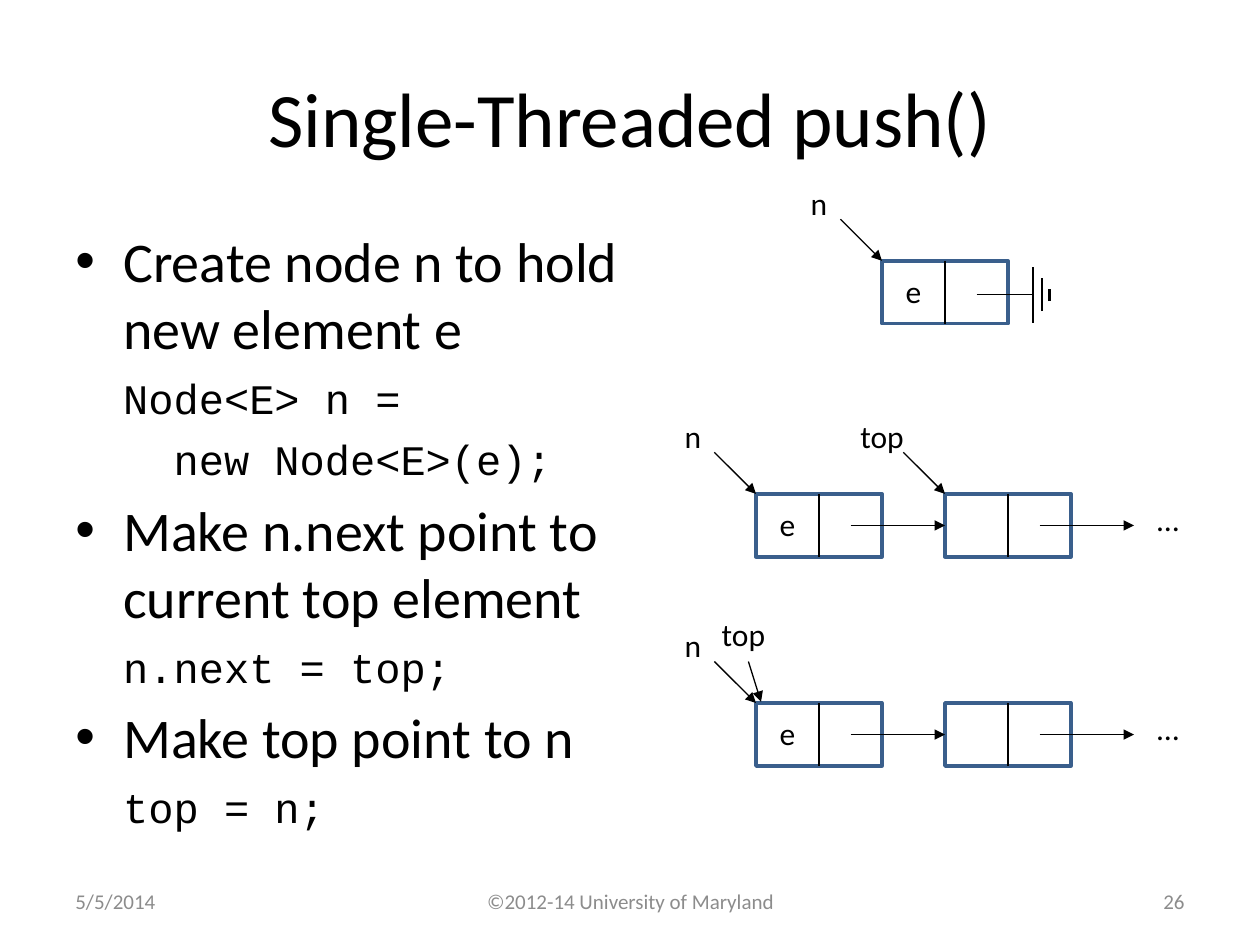
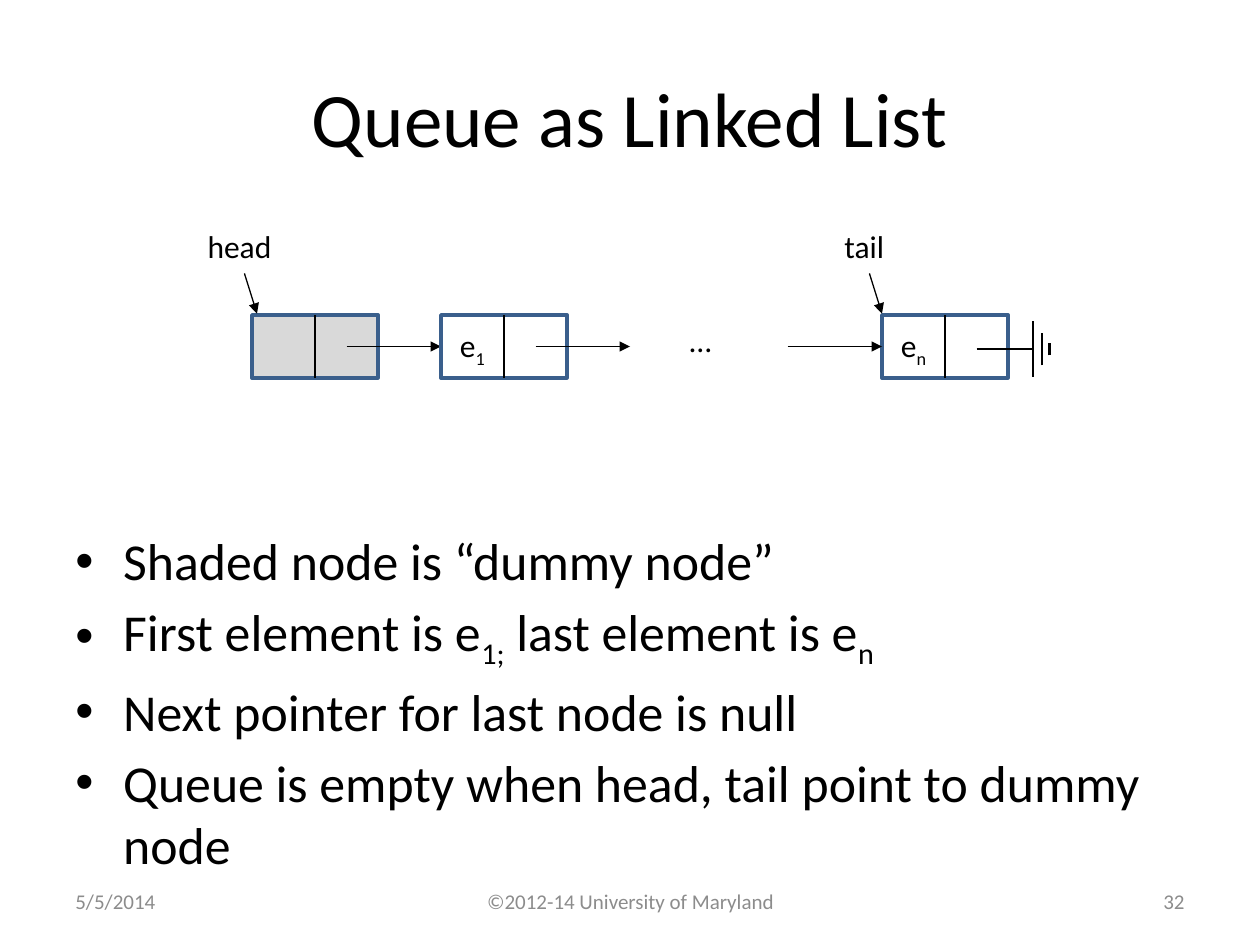
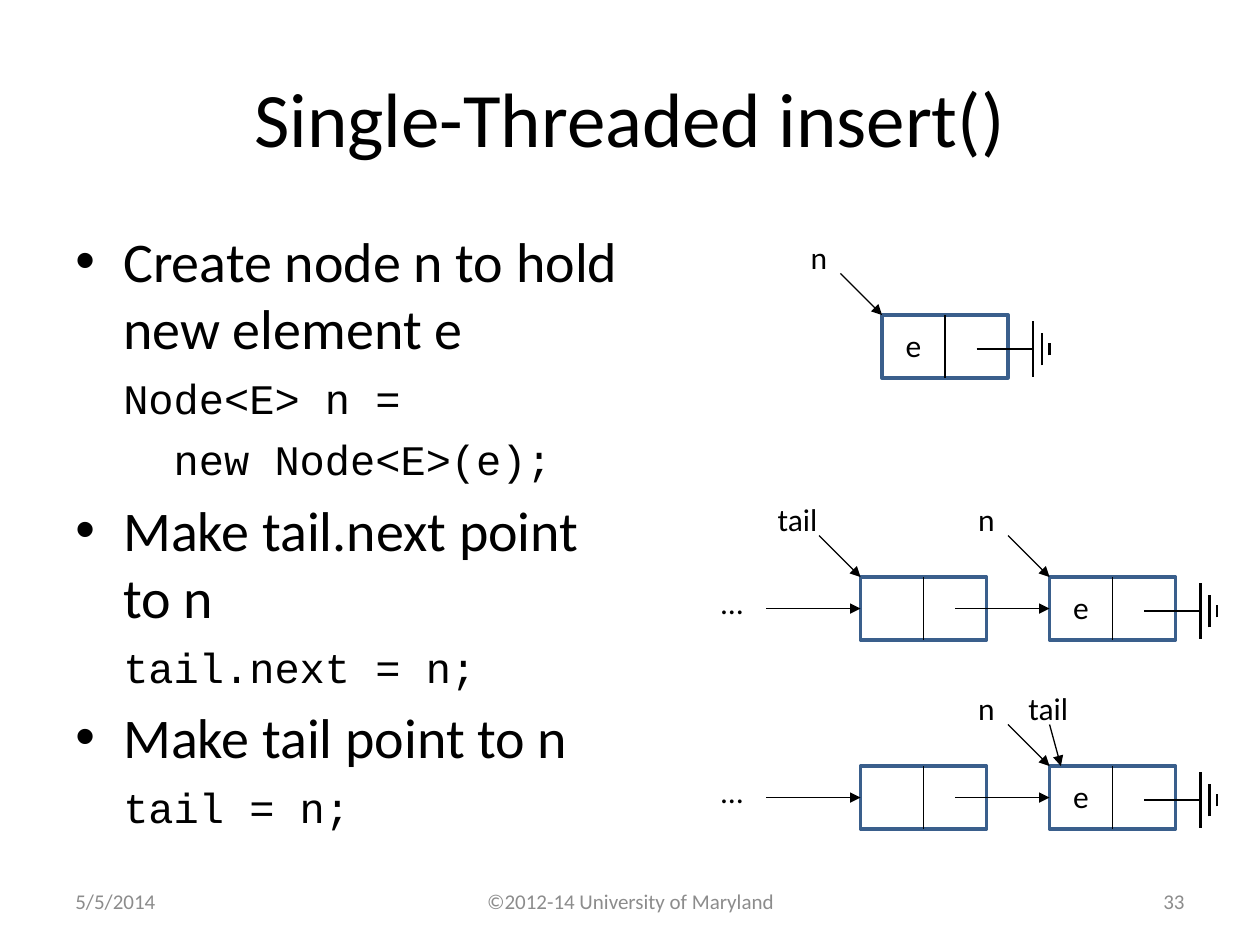
"""Build three slides on linked-list stacks and queues."""
from dataclasses import dataclass

from lxml import etree
from pptx import Presentation
from pptx import util as u
from pptx.dml.color import RGBColor
from pptx.enum import shapes, text
from pptx.oxml.ns import qn


@dataclass(frozen=True)
class Theme:
    ink: str = "000000"
    muted: str = "8C8C8C"
    edge: str = "3A5F8C"
    shade: str = "D9D9D9"
    font: str = "Calibri"
    mono: str = "Courier New"
    title: float = 44
    code: float = 24
    label: float = 18
    footer: float = 12
    thin: float = 0.75
    bar: float = 1.5
    border: float = 2


T = Theme()
AL, ANCHOR = text.PP_ALIGN, text.MSO_ANCHOR
DATE, OWNER = "5/5/2014", "©2012-14 University of Maryland"
NODE_W, NODE_H = 1, 0.5
INDENT, CODE_STEP = 0.38, 0.4
LABEL_H = 0.4
LABEL_W = {"e": 0.33, "n": 0.34, "top": 0.55, "tail": 0.52, "head": 0.72,
           "…": 0.38, "e_1": 0.41, "e_n": 0.42}
# Offsets from a node's corner: label centre and top, arrow start, arrow end
POINTERS = {
    "slant": ((-0.5, -0.66), (-0.33, -0.33), (0, 0)),
    "steep": ((-0.1, -0.75), (-0.06, -0.33), (0.04, -0.01)),
    "corner": ((-0.14, -0.75), (-0.1, -0.33), (0, -0.01)),
    "near": ((-0.01, -0.66), (0, -0.33), (0.09, 0)),
}
GROUND_BARS = [(1.2, 0.22), (1.27, 0.13), (1.33, 0.05)]

# Body items are (kind, text); text between underscores is subscript
# Nodes are (x, y, label, pointers, links)
SLIDES = [
    dict(
        title="Single-Threaded push()", number="26",
        box=(0.5, 1.75, 4.57, 4.95), size=32, gap=6.4,
        body=[("bullet", "Create node n to hold new element e"),
              ("code", "Node<E> n ="),
              ("code2", "new Node<E>(e);"),
              ("bullet", "Make n.next point to current top element"),
              ("code", "n.next = top;"),
              ("bullet", "Make top point to n"),
              ("code", "top = n;")],
        nodes=[(7, 2.07, "e", {"n": "slant"}, "ground"),
               (7.5, 3.92, "", {"top": "slant"}, "next"),
               (6, 3.92, "e", {"n": "slant"}, "next"),
               (7.5, 5.58, "", {}, "next"),
               (6, 5.58, "e", {"n": "slant", "top": "steep"}, "next")],
        dots=[(9.27, 3.92), (9.27, 5.58)]),
    dict(
        title="Queue as Linked List", number="32",
        box=(0.5, 4.15, 9, 2.55), size=29.6, gap=5,
        body=[("bullet", "Shaded node is “dummy node”"),
              ("bullet", "First element is e_1;_ last element is e_n"),
              ("bullet", "Next pointer for last node is null"),
              ("bullet", "Queue is empty when head, tail point to dummy node")],
        nodes=[(2, 2.5, "", {"head": "steep"}, "next shaded"),
               (3.5, 2.5, "e_1", {}, "next"),
               (7, 2.5, "e_n", {"tail": "corner"}, "entry ground")],
        dots=[(5.56, 2.5)]),
    dict(
        title="Single-Threaded insert()", number="33",
        box=(0.5, 1.75, 4.58, 4.95), size=32, gap=6.4,
        body=[("bullet", "Create node n to hold new element e"),
              ("code", "Node<E> n ="),
              ("code2", "new Node<E>(e);"),
              ("bullet", "Make tail.next point to n"),
              ("code", "tail.next = n;"),
              ("bullet", "Make tail point to n"),
              ("code", "tail = n;")],
        nodes=[(7, 2.5, "e", {"n": "slant"}, "ground"),
               (8.33, 4.58, "e", {"n": "slant"}, "ground"),
               (6.83, 4.58, "", {"tail": "slant"}, "entry next"),
               (8.33, 6.08, "e", {"n": "slant", "tail": "near"}, "ground"),
               (6.83, 6.08, "", {}, "entry next")],
        dots=[(5.81, 4.58), (5.81, 6.08)]),
]


def rgb(value):
    return RGBColor.from_string(value)


def add_runs(p, value, size, color=T.ink, font=T.font):
    for i, part in enumerate(value.split("_")):
        if not part:
            continue
        r = p.add_run()
        r.text = part
        r.font.size, r.font.name = u.Pt(size), font
        r.font.color.rgb = rgb(color)
        if i % 2:
            r._r.get_or_add_rPr().set("baseline", "-25000")


def add_box(tree, box):
    sp = tree.add_textbox(*map(u.Inches, box))
    sp.text_frame.word_wrap = True
    return sp.text_frame


def add_line_of_text(tree, box, value, size, align, color=T.ink):
    tf = add_box(tree, box)
    tf.vertical_anchor = ANCHOR.MIDDLE
    p = tf.paragraphs[0]
    p.alignment = align
    add_runs(p, value, size, color)


def add_label(tree, center, top, value):
    w = LABEL_W[value]
    tf = add_box(tree, (center - w / 2, top, w, LABEL_H))
    tf.word_wrap = False
    tf.auto_size = text.MSO_AUTO_SIZE.SHAPE_TO_FIT_TEXT
    p = tf.paragraphs[0]
    p.alignment = AL.CENTER
    add_runs(p, value, T.label)


def add_line(tree, start, end, width=T.thin, arrow=False):
    cx = tree.add_connector(shapes.MSO_CONNECTOR.STRAIGHT,
                            *map(u.Inches, (*start, *end)))
    cx.line.color.rgb, cx.line.width = rgb(T.ink), u.Pt(width)
    if arrow:
        etree.SubElement(cx.line._get_or_add_ln(), qn("a:tailEnd"), type="triangle")
    etree.SubElement(cx._element.spPr, qn("a:effectLst"))


def add_body(tree, box, items, size, gap):
    tf = add_box(tree, box)
    for i, (kind, value) in enumerate(items):
        p = tf.add_paragraph() if i else tf.paragraphs[0]
        p.space_before = u.Pt(gap)
        pPr = p._p.get_or_add_pPr()
        left = INDENT + (CODE_STEP if kind == "code2" else 0)
        pPr.set("marL", str(u.Inches(left)))
        if kind == "bullet":
            pPr.set("indent", str(-u.Inches(INDENT)))
            etree.SubElement(pPr, qn("a:buFont"), typeface="Arial")
            etree.SubElement(pPr, qn("a:buChar"), char="•")
            add_runs(p, value, size)
        else:
            p.level = 1
            add_runs(p, value, T.code, font=T.mono)


def add_ground(tree, x, y):
    g = tree.add_group_shape().shapes
    mid = y + 0.27
    for dx, half in GROUND_BARS:
        add_line(g, (x + dx, mid + half), (x + dx, mid - half), T.bar)
    add_line(g, (x + 0.75, mid), (x + GROUND_BARS[0][0], mid))


def add_node(tree, x, y, label, pointers, links):
    g = tree.add_group_shape().shapes
    sp = g.add_shape(shapes.MSO_SHAPE.RECTANGLE,
                     *map(u.Inches, (x, y, NODE_W, NODE_H)))
    sp.shadow.inherit = False
    sp.line.color.rgb, sp.line.width = rgb(T.edge), u.Pt(T.border)
    if "shaded" in links:
        sp.fill.solid()
        sp.fill.fore_color.rgb = rgb(T.shade)
    else:
        sp.fill.background()
    add_line(g, (x + NODE_W / 2, y), (x + NODE_W / 2, y + NODE_H))
    if label:
        add_label(g, x + NODE_W / 4, y + 0.04, label)

    for name, style in pointers.items():
        (lx, ly), (sx, sy), (ex, ey) = POINTERS[style]
        add_line(tree, (x + sx, y + sy), (x + ex, y + ey), arrow=True)
        add_label(tree, x + lx, y + ly, name)
    mid = y + NODE_H / 2
    if "entry" in links:
        add_line(tree, (x - 0.75, mid), (x, mid), arrow=True)
    if "next" in links:
        add_line(tree, (x + 0.75, mid), (x + 1.5, mid), arrow=True)
    if "ground" in links:
        add_ground(tree, x, y)


def add_slide(prs, data):
    tree = prs.slides.add_slide(prs.slide_layouts[6]).shapes
    add_line_of_text(tree, (0.5, 0.3, 9, 1.25), data["title"], T.title, AL.CENTER)
    add_body(tree, data["box"], data["body"], data["size"], data["gap"])
    for left, width, value, align in [(0.5, 2.33, DATE, AL.LEFT),
                                      (3.42, 3.17, OWNER, AL.CENTER),
                                      (7.17, 2.33, data["number"], AL.RIGHT)]:
        add_line_of_text(tree, (left, 6.95, width, 0.4), value, T.footer, align, T.muted)
    for node in data["nodes"]:
        add_node(tree, *node)
    for center, top in data["dots"]:
        add_label(tree, center, top, "…")


prs = Presentation()
prs.slide_width, prs.slide_height = u.Inches(10), u.Inches(7.5)
for data in SLIDES:
    add_slide(prs, data)
prs.save("out.pptx")
